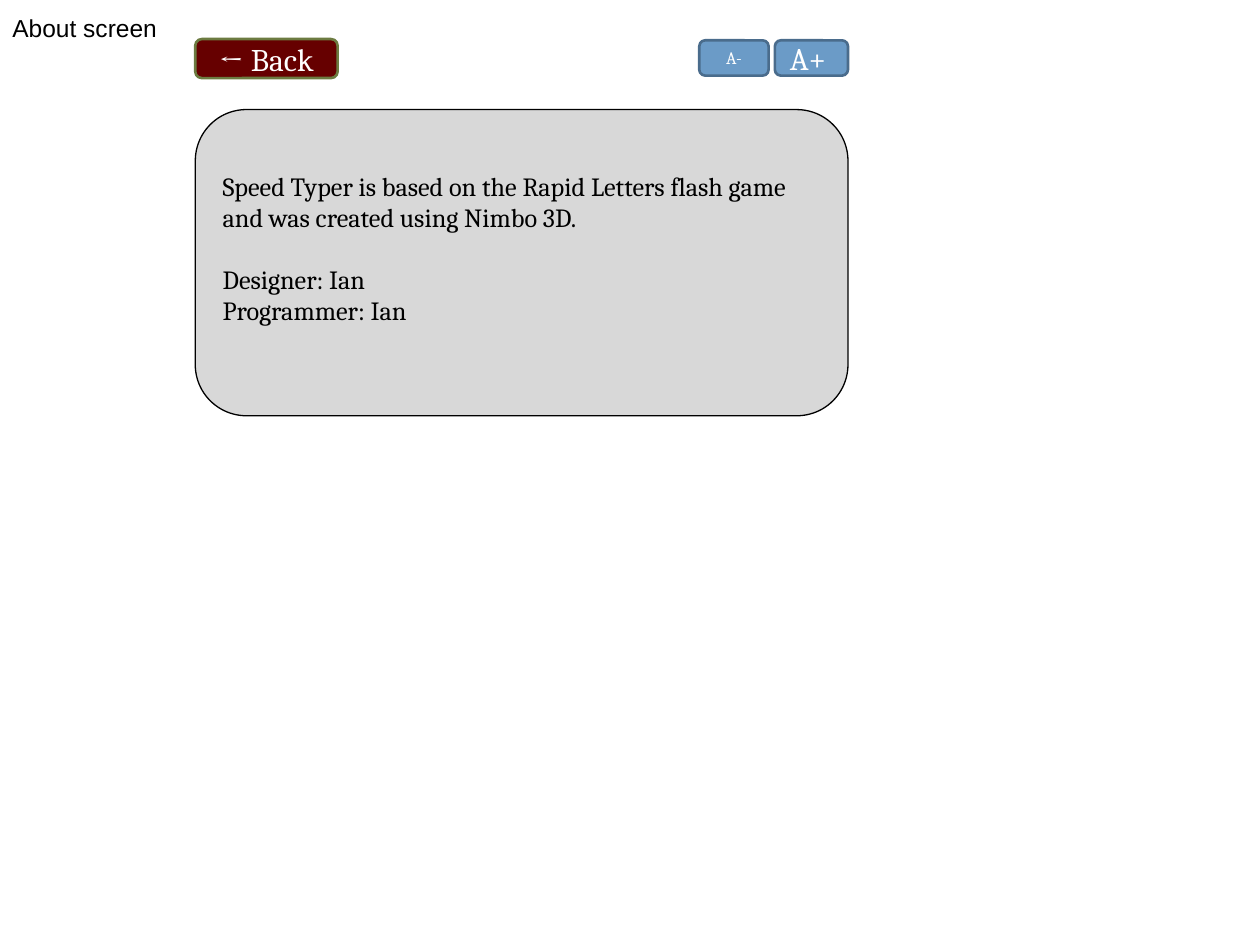
from pptx import Presentation
from pptx.dml.color import RGBColor
from pptx.enum.shapes import MSO_SHAPE
from pptx.enum.text import MSO_ANCHOR, PP_ALIGN
from pptx.util import Inches, Pt

ROUNDED = MSO_SHAPE.ROUNDED_RECTANGLE
MIDDLE, TOP = MSO_ANCHOR.MIDDLE, MSO_ANCHOR.TOP
CENTER, LEFT = PP_ALIGN.CENTER, PP_ALIGN.LEFT

SLIDE_WIDTH, SLIDE_HEIGHT = Inches(10), Inches(7.5)
LEFT_EDGE, RIGHT_EDGE = 15.5, 67.3
WHITE, BLACK = "FFFFFF", "000000"
BLUE, DARK_BLUE = "6B9BC7", "4A6C8C"
MAROON, OLIVE, GREY = "660000", "6C7B41", "D8D8D8"


def color(hex_code):
    return RGBColor.from_string(hex_code)


def area(left, top, width, height):
    return (
        int(SLIDE_WIDTH * left / 100),
        int(SLIDE_HEIGHT * top / 100),
        int(SLIDE_WIDTH * width / 100),
        int(SLIDE_HEIGHT * height / 100),
    )


def set_frame(frame, anchor, top_inset, bottom_inset):
    frame.word_wrap = True
    frame.vertical_anchor = anchor
    frame.margin_left = frame.margin_right = Inches(0.1)
    frame.margin_top, frame.margin_bottom = Inches(top_inset), Inches(bottom_inset)


def write(paragraph, words, size, font_name, ink, align=LEFT, gap=0):
    paragraph.alignment = align
    paragraph.space_before = Pt(gap)
    run = paragraph.add_run()
    run.text = words
    run.font.size = Pt(size)
    run.font.name = font_name
    run.font.color.rgb = color(ink)


def add_panel(slide, place, fill, outline, outline_width, bottom_inset=0.05):
    panel = slide.shapes.add_shape(ROUNDED, *area(*place))
    panel.adjustments[0] = 0.167
    panel.shadow.inherit = False
    panel.fill.solid()
    panel.fill.fore_color.rgb = color(fill)
    panel.line.color.rgb = color(outline)
    panel.line.width = Pt(outline_width)
    set_frame(panel.text_frame, MIDDLE, 0.05, bottom_inset)
    return panel.text_frame


def add_button(slide, label, size, place, fill, outline):
    frame = add_panel(slide, place, fill, outline, 1.5)
    write(frame.paragraphs[0], label, size, "Cambria", WHITE, CENTER)


def add_screen_name(slide, words):
    frame = slide.shapes.add_textbox(*area(0, 0, 18.6, 6.67)).text_frame
    set_frame(frame, TOP, 0.1, 0.1)
    write(frame.paragraphs[0], words, 14, "Arial", BLACK)


def add_about_card(slide, entries):
    place = (LEFT_EDGE, 11.6, RIGHT_EDGE - LEFT_EDGE, 32.4)
    frame = add_panel(slide, place, GREY, BLACK, 0.75, bottom_inset=0.28)
    for index, (words, gap) in enumerate(entries):
        paragraph = frame.add_paragraph() if index else frame.paragraphs[0]
        write(paragraph, words, 15, "Cambria", BLACK, gap=gap)


def main():
    deck = Presentation()
    deck.slide_width, deck.slide_height = SLIDE_WIDTH, SLIDE_HEIGHT
    slide = deck.slides.add_slide(deck.slide_layouts[6])

    for label, size, width, right in (("A-", 10, 5.5, 61), ("A+ ", 18, 5.8, RIGHT_EDGE)):
        place = (right - width, 4.27, width, 3.73)
        add_button(slide, label, size, place, BLUE, DARK_BLUE)
    add_screen_name(slide, "About screen")
    add_about_card(slide, (
        ("Speed Typer is based on the Rapid Letters flash game "
         "and was created using Nimbo 3D.", 0),
        ("Designer: Ian", 17),
        ("Programmer: Ian", 0),
    ))
    add_button(slide, "← Back", 18, (LEFT_EDGE, 4.13, 11.3, 4.13), MAROON, OLIVE)

    deck.save("out.pptx")


if __name__ == "__main__":
    main()
